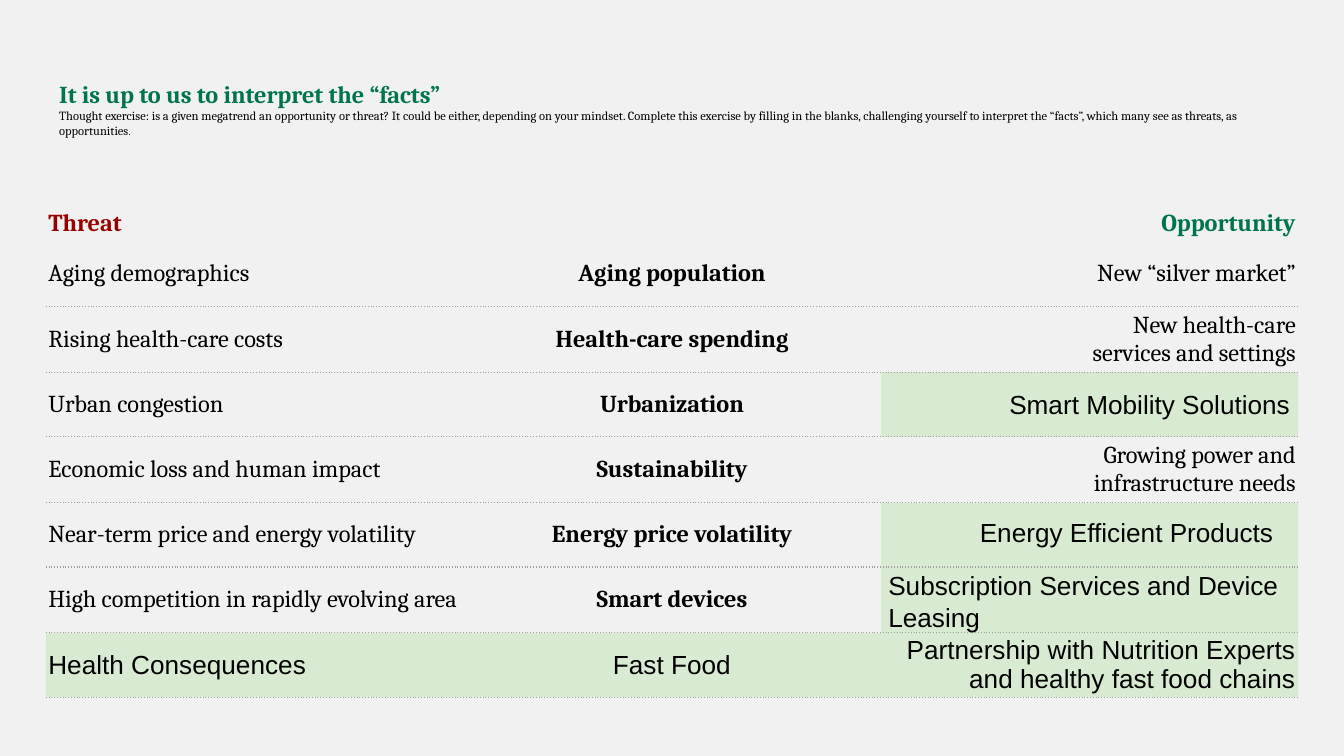
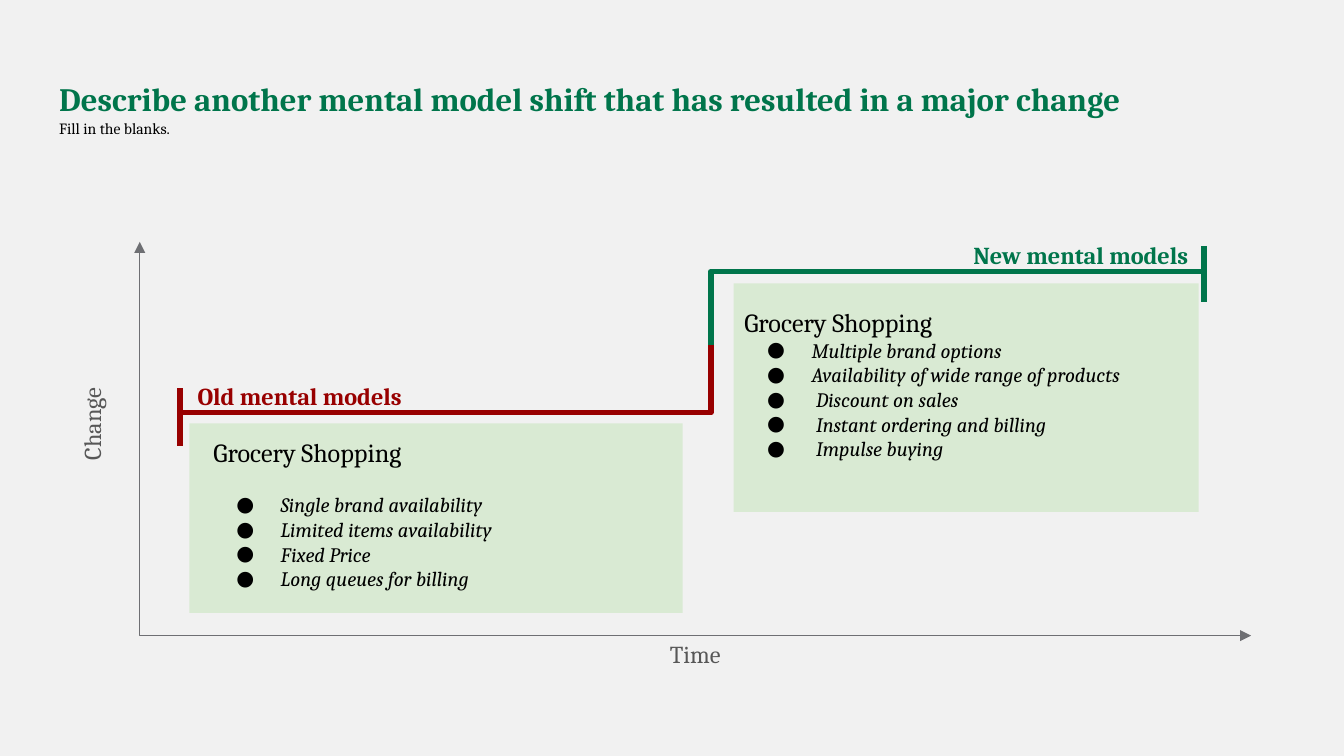
from dataclasses import dataclass

from lxml import etree
from pptx import Presentation
from pptx import util as u
from pptx.dml import color as col
from pptx.enum import shapes, text
from pptx.oxml import ns

LEFT, MID, RIGHT = text.PP_ALIGN.LEFT, text.PP_ALIGN.CENTER, text.PP_ALIGN.RIGHT
TOP, CENTER = text.MSO_ANCHOR.TOP, text.MSO_ANCHOR.MIDDLE


@dataclass(frozen=True)
class Theme:
    back: str = "F1F1F1"
    green: str = "00754B"
    red: str = "980000"
    black: str = "000000"
    gray: str = "575757"
    axis: str = "6E6F73"
    rule: str = "9E9E9E"
    pale: str = "D9EAD3"
    serif: str = "Cambria"
    sans: str = "Arial"
    title: float = 17.5
    note: float = 8.4
    small: float = 6.7
    dot: float = 5.2
    label: float = 13
    head: float = 14
    item: float = 11
    thin: float = 0.75
    thick: float = 3


@dataclass(frozen=True)
class Style:
    size: float
    color: str
    bold: bool = False
    italic: bool = False
    font: str = Theme.serif


T = Theme()
THREAT = Style(T.label, T.red, True)
CHANCE = Style(T.label, T.green, True)
PLAIN = Style(T.label, T.black)
TREND = Style(T.label, T.black, True)
ENTRY = Style(T.head, T.black, font=T.sans)
AXIS = Style(T.label, T.gray)
HEAD = Style(T.head, T.black)
ITEM = Style(T.item, T.black, italic=True)


def rgb(code):
    return col.RGBColor.from_string(code)


def node(parent, tag, **attrs):
    return etree.SubElement(parent, ns.qn("a:" + tag), attrs)


class Deck:
    def __init__(self):
        self.prs = Presentation()
        self.prs.slide_width = u.Inches(10)
        self.prs.slide_height = u.Inches(10 * 9 / 16)
        fill = self.prs.slide_master.background.fill
        fill.solid()
        fill.fore_color.rgb = rgb(T.back)

    def slide(self, *lines):
        page = self.prs.slides.add_slide(self.prs.slide_layouts[5])
        self.shapes = page.shapes
        title = self.shapes.title
        title.left, title.top, title.width, title.height = map(u.Inches, (0.34, 0.49, 9.32, 0.63))
        self.frame(title.text_frame, 0.1, TOP)
        self.lines(title.text_frame, lines)

    def frame(self, frame, inset, anchor, wrap=True):
        frame.auto_size = text.MSO_AUTO_SIZE.NONE
        frame.word_wrap = wrap
        frame.vertical_anchor = anchor
        self.inset(frame, inset)

    def inset(self, part, size):
        for side in ("left", "top", "right", "bottom"):
            setattr(part, "margin_" + side, u.Inches(size))

    def lines(self, frame, lines, align=LEFT):
        for n, runs in enumerate(lines):
            para = frame.add_paragraph() if n else frame.paragraphs[0]
            para.alignment = align
            for words, style in runs:
                self.run(para, words, style)

    def run(self, para, words, style):
        run = para.add_run()
        run.text = words
        font = run.font
        font.name, font.size = style.font, u.Pt(style.size)
        font.bold, font.italic = style.bold, style.italic
        font.color.rgb = rgb(style.color)

    def text(self, at, lines, style, align=LEFT, inset=0, anchor=TOP, wrap=True, turn=0, space=None):
        box = self.shapes.add_textbox(*map(u.Inches, at))
        box.rotation = turn
        self.frame(box.text_frame, inset, anchor, wrap)
        self.lines(box.text_frame, [[(line, style)] for line in lines], align)
        if space:
            for para in box.text_frame.paragraphs:
                para.line_spacing = space
        return box

    def list(self, at, head, items, gap=0):
        frame = self.text(at, [head], HEAD, inset=0.1).text_frame
        frame.paragraphs[0].space_after = u.Pt(gap)
        for words in items:
            para = frame.add_paragraph()
            self.run(para, words, ITEM)
            props = para._p.get_or_add_pPr()
            props.set("marL", str(u.Inches(0.5)))
            props.set("indent", str(-u.Inches(0.33)))
            node(node(props, "buClr"), "srgbClr", val=T.black)
            node(props, "buSzPts", val=str(T.item * 100))
            node(props, "buFont", typeface=T.serif)
            node(props, "buChar", char="●")

    def panel(self, *at):
        panel = self.shapes.add_shape(shapes.MSO_SHAPE.RECTANGLE, *map(u.Inches, at))
        panel.shadow.inherit = False
        panel.fill.solid()
        panel.fill.fore_color.rgb = rgb(T.pale)
        panel.line.fill.background()

    def stroke(self, line, color, width):
        line.color.rgb = rgb(color)
        line.width = u.Pt(width)

    def tick(self, x, top, foot, color):
        ends = map(u.Inches, (x, top, x, foot))
        tick = self.shapes.add_connector(shapes.MSO_CONNECTOR.STRAIGHT, *ends)
        self.stroke(tick.line, color, T.thick)
        node(tick._element.spPr, "effectLst")

    def route(self, points, color, width, heads=False):
        spots = [tuple(map(u.Inches, spot)) for spot in points]
        build = self.shapes.build_freeform(*spots[0])
        build.add_line_segments(spots[1:], close=False)
        route = build.convert_to_shape()
        route.shadow.inherit = False
        route.fill.background()
        self.stroke(route.line, color, width)
        if heads:
            line = route.line._get_or_add_ln()
            for end in ("headEnd", "tailEnd"):
                node(line, end, type="triangle")

    def table(self, at, tall, rows):
        frame = self.shapes.add_table(len(rows), len(rows[0]), *map(u.Inches, at))
        grid = frame.table
        grid.first_row = grid.horz_banding = False
        mark = grid._tbl.tblPr.find(ns.qn("a:tableStyleId"))
        mark.text = "{2D5ABB26-0587-4C30-8999-92F81FD0307C}"
        for band, size in zip(grid.rows, tall):
            band.height = u.Inches(size)
        for slot in grid.columns:
            slot.width = u.Inches(at[2] / len(rows[0]))
        for r, row in enumerate(rows):
            for c, (words, style) in enumerate(row):
                self.cell(grid.cell(r, c), words, style, (LEFT, MID, RIGHT)[c])
                self.edges(grid.cell(r, c), r)

    def cell(self, cell, words, style, align):
        cell.vertical_anchor = CENTER
        self.inset(cell, 0.02)
        if words:
            self.lines(cell.text_frame, [[(line, style)] for line in words.split("\n")], align)
        else:
            node(cell.text_frame.paragraphs[0]._p, "endParaRPr", sz=str(T.label * 100))
        if style is ENTRY:
            cell.fill.solid()
            cell.fill.fore_color.rgb = rgb(T.pale)
        else:
            cell.fill.background()

    def edges(self, cell, row):
        props = cell._tc.get_or_add_tcPr()
        for tag, first in (("lnB", 1), ("lnT", 2)):
            if row >= first:
                line = node(props, tag, w=str(u.Pt(T.thin)))
                node(node(line, "solidFill"), "srgbClr", val=T.rule)
                node(line, "prstDash", val="dot")
                props.insert(0, line)


def facts(deck):
    small = Style(T.small, T.black)
    deck.slide(
        [("It is up to us to interpret the “facts”", CHANCE)],
        [("Thought exercise: is a given megatrend an opportunity or threat? It could be either, "
          "depending on your mindset. Complete this exercise by filling in the blanks, challenging "
          "yourself to interpret the “facts”, which many see as threats, as opportunities", small),
         (".", Style(T.dot, T.black))])
    trends = [
        ("Aging demographics", "Aging population", "New “silver market”"),
        ("Rising health-care costs", "Health-care spending", "New health-care\nservices and settings"),
        ("Urban congestion", "Urbanization", ""),
        ("Economic loss and human impact", "Sustainability", "Growing power and\ninfrastructure needs"),
        ("Near-term price and energy volatility", "Energy price volatility", ""),
        ("High competition in rapidly evolving area", "Smart devices", ""),
    ]
    rows = [[("Threat", THREAT), ("", PLAIN), ("Opportunity", CHANCE)]]
    rows += [[(a, PLAIN), (b, TREND), (c, PLAIN if c else ENTRY)] for a, b, c in trends]
    rows.append([(words, ENTRY) for words in (
        "Health Consequences", "Fast Food",
        "Partnership with Nutrition Experts and healthy fast food chains")])
    deck.table((0.34, 1.53, 9.32, 3.66), [0.27] + [0.48, 0.49] * 3 + [0.48], rows)
    for at, lines in (
        ((7.51, 2.89, 2.1, 0.22), ["Smart Mobility Solutions"]),
        ((7.29, 3.84, 2.19, 0.22), ["Energy Efficient Products"]),
        ((6.61, 4.24, 2.96, 0.44), ["Subscription Services and Device", "Leasing"]),
    ):
        deck.text(at, lines, ENTRY, wrap=False)


def models(deck):
    deck.slide(
        [("Describe another mental model shift that has resulted in a major change",
          Style(T.title, T.green, True))],
        [("Fill in the blanks.", Style(T.note, T.black))])
    deck.panel(1.41, 3.15, 3.67, 1.41)
    deck.panel(5.46, 2.11, 3.46, 1.7)
    deck.route([(1.04, 1.8), (1.04, 4.73), (9.31, 4.73)], T.axis, T.thin, heads=True)
    deck.tick(8.96, 1.83, 2.25, T.green)
    deck.tick(1.34, 2.89, 3.32, T.red)
    deck.text((5.41, 1.75, 3.48, 0.31), ["New mental models"], CHANCE, RIGHT, 0.05, space=0.96)
    deck.text((0.27, 3.2, 0.84, 0.21), ["Change"], AXIS, RIGHT, anchor=CENTER, turn=270, space=0.96)
    deck.text((4.64, 4.77, 0.72, 0.21), ["Time"], AXIS, RIGHT, anchor=CENTER, space=0.96)
    deck.text((1.42, 2.8, 3.73, 0.31), ["Old mental models"], THREAT, LEFT, 0.05, space=0.96)
    deck.route([(5.29, 2.63), (5.29, 2.02), (8.96, 2.02)], T.green, T.thick)
    deck.route([(1.36, 3.07), (5.29, 3.07), (5.29, 2.57)], T.red, T.thick)
    deck.list((1.49, 3.15, 3.5, 1.26), "Grocery Shopping", [
        "Single brand availability", "Limited items availability",
        "Fixed Price", "Long queues for billing"], gap=13)
    deck.list((5.44, 2.18, 3.5, 1.26), "Grocery Shopping", [
        "Multiple brand options", "Availability of wide range of products",
        " Discount on sales", " Instant ordering and billing", " Impulse buying"])


def main():
    deck = Deck()
    facts(deck)
    models(deck)
    deck.prs.save("out.pptx")


if __name__ == "__main__":
    main()
